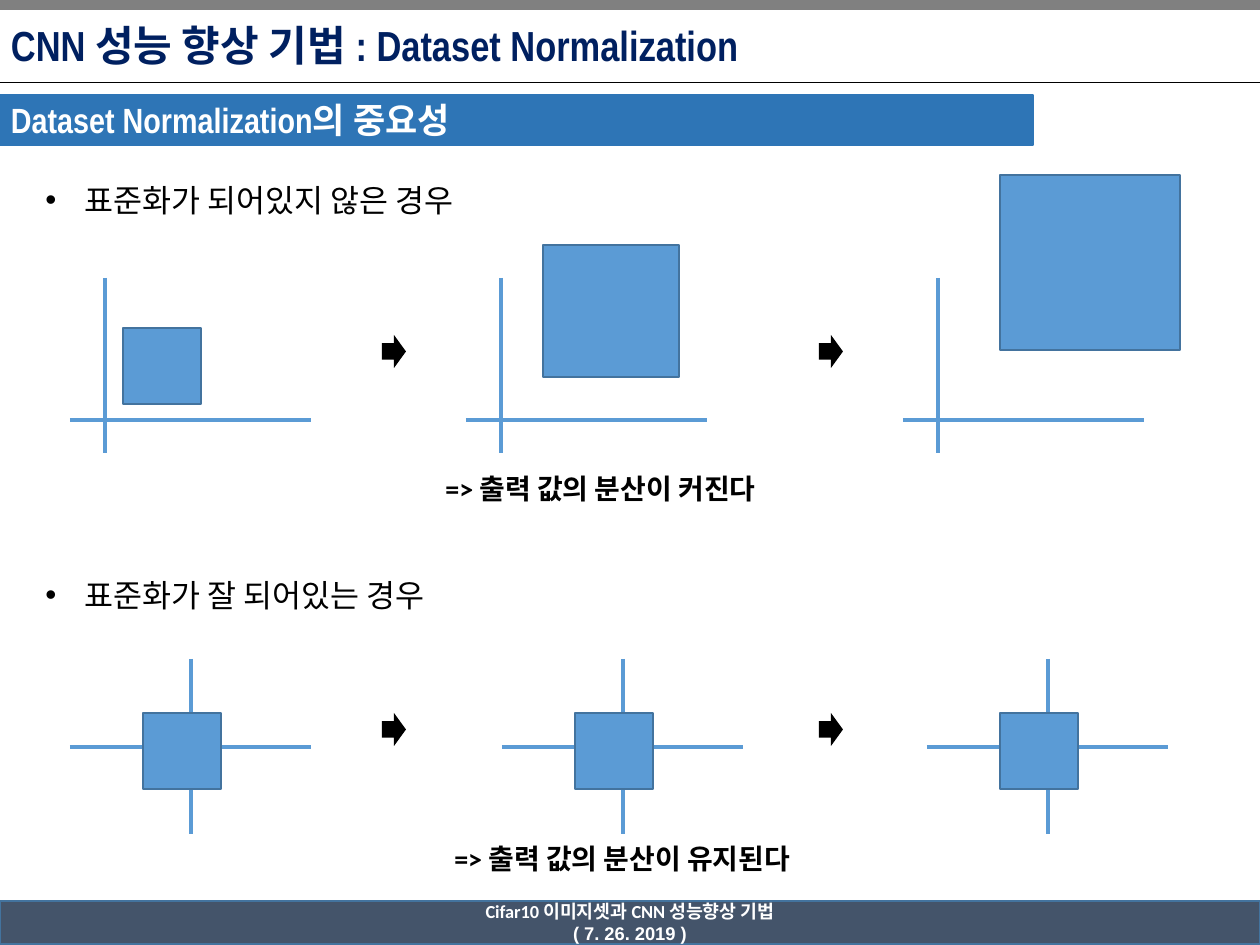
from lxml.etree import SubElement
from pptx import Presentation
from pptx.dml.color import RGBColor
from pptx.enum.shapes import MSO_CONNECTOR as Connector, MSO_SHAPE as Shape
from pptx.enum.text import MSO_ANCHOR as Anchor, MSO_AUTO_SIZE as AutoSize, PP_ALIGN as Align
from pptx.oxml.ns import qn
from pptx.util import Emu, Pt

PX_PER_INCH = 126
WHITE = RGBColor(0xFF, 0xFF, 0xFF)
BLACK = RGBColor(0x00, 0x00, 0x00)
GRAY = RGBColor(0x80, 0x80, 0x80)
NAVY = RGBColor(0x00, 0x20, 0x60)
SLATE = RGBColor(0x44, 0x54, 0x6A)
BANNER_BLUE = RGBColor(0x2E, 0x75, 0xB6)
DATA_BLUE = RGBColor(0x5B, 0x9B, 0xD5)
EDGE_BLUE = RGBColor(0x43, 0x73, 0x9E)

AXIS_WIDTH, AXIS_HEIGHT = 241, 175
UNIT_WIDTH, UNIT_HEIGHT = 78, 76
ARROW_LEFTS = (382, 819)


def px(length):
    return Emu(round(length * 914400 / PX_PER_INCH))


def add_block(slide, kind, box, fill, edge=None):
    block = slide.shapes.add_shape(kind, *map(px, box))
    block.shadow.inherit = False
    block.fill.solid()
    block.fill.fore_color.rgb = fill
    if edge is None:
        block.line.fill.background()
    else:
        block.line.color.rgb = edge
        block.line.width = Pt(1)
    return block


def add_line(slide, start, end, color, width):
    line = slide.shapes.add_connector(Connector.STRAIGHT, *map(px, start + end))
    line.line.color.rgb = color
    line.line.width = Pt(width)
    SubElement(line._element.spPr, qn("a:effectLst"))


def add_run(paragraph, text, font, size, color, bold=True):
    run = paragraph.add_run()
    run.text = text
    run.font.name = font
    run.font.size = Pt(size)
    run.font.bold = bold
    run.font.color.rgb = color


def write_heading(shape, text, size, color):
    frame = shape.text_frame
    frame.word_wrap = True
    frame.vertical_anchor = Anchor.MIDDLE
    frame.margin_left = frame.margin_right = px(11)
    frame.margin_top = frame.margin_bottom = px(5)
    heading = frame.paragraphs[0]
    heading.alignment = Align.LEFT
    add_run(heading, text, "Arial Narrow", size, color)


def add_label(slide, box, text, size, bullet=False):
    frame = slide.shapes.add_textbox(*map(px, box)).text_frame
    frame.word_wrap = False
    frame.auto_size = AutoSize.SHAPE_TO_FIT_TEXT
    label = frame.paragraphs[0]
    if bullet:
        props = label._p.get_or_add_pPr()
        props.set("marL", str(px(39)))
        props.set("indent", str(-px(39)))
        SubElement(props, qn("a:buFont"), typeface="Arial")
        SubElement(props, qn("a:buChar"), char="•")
    add_run(label, text, "Calibri", size, BLACK, bold=not bullet)


def add_plot(slide, left, top, origin, square):
    origin_x, origin_y = left + origin[0], top + origin[1]
    add_line(slide, (origin_x, top), (origin_x, top + AXIS_HEIGHT), DATA_BLUE, 2.25)
    add_line(slide, (left, origin_y), (left + AXIS_WIDTH, origin_y), DATA_BLUE, 2.25)
    add_block(slide, Shape.RECTANGLE, square, DATA_BLUE, EDGE_BLUE)


def add_arrows(slide, top):
    for left in ARROW_LEFTS:
        add_block(slide, Shape.RIGHT_ARROW, (left, top, 24, 33), BLACK)


def add_frame(slide):
    add_block(slide, Shape.RECTANGLE, (0, 0, 1260, 9), GRAY, GRAY)
    add_line(slide, (0, 82), (1260, 82), BLACK, 0.5)
    footer = add_block(slide, Shape.RECTANGLE, (0, 901, 1260, 43), SLATE, EDGE_BLUE).text_frame
    footer.word_wrap = True
    footer.vertical_anchor = Anchor.MIDDLE
    topic, date = footer.paragraphs[0], footer.add_paragraph()
    topic.alignment = date.alignment = Align.CENTER
    add_run(topic, "Cifar10 이미지셋과 CNN 성능향상 기법", "Calibri", 10.5, WHITE)
    add_run(date, "( 7. 26. 2019 )", "Arial", 10.5, WHITE)


def add_headings(slide):
    title = slide.shapes.add_textbox(*map(px, (0, 4, 984, 82)))
    write_heading(title, "CNN 성능 향상 기법 : Dataset Normalization", 24, NAVY)
    banner = add_block(slide, Shape.RECTANGLE, (0, 95, 1033, 50), BANNER_BLUE, BANNER_BLUE)
    write_heading(banner, "Dataset Normalization의 중요성", 20, WHITE)


def add_unnormalized(slide):
    add_label(slide, (33, 175, 469, 50), "표준화가 되어있지 않은 경우", 18, bullet=True)
    growing_squares = (
        (70, (123, 328, UNIT_WIDTH, UNIT_HEIGHT)),
        (466, (543, 245, 136, 132)),
        (903, (1000, 175, 180, 175)),
    )
    for left, square in growing_squares:
        add_plot(slide, left, 278, (35, 142), square)
    add_arrows(slide, 335)
    add_label(slide, (433, 465, 362, 47), "=> 출력 값의 분산이 커진다", 16)


def add_normalized(slide):
    add_label(slide, (33, 570, 437, 50), "표준화가 잘 되어있는 경우", 18, bullet=True)
    for left in (70, 502, 927):
        square = (left + 73, 713, UNIT_WIDTH, UNIT_HEIGHT)
        add_plot(slide, left, 659, (121, 88), square)
    add_arrows(slide, 713)
    add_label(slide, (442, 835, 391, 47), "=> 출력 값의 분산이 유지된다", 16)


def main():
    deck = Presentation()
    deck.slide_width, deck.slide_height = px(1260), px(945)
    slide = deck.slides.add_slide(deck.slide_layouts[6])
    add_frame(slide)
    add_headings(slide)
    add_unnormalized(slide)
    add_normalized(slide)
    deck.save("out.pptx")


if __name__ == "__main__":
    main()
